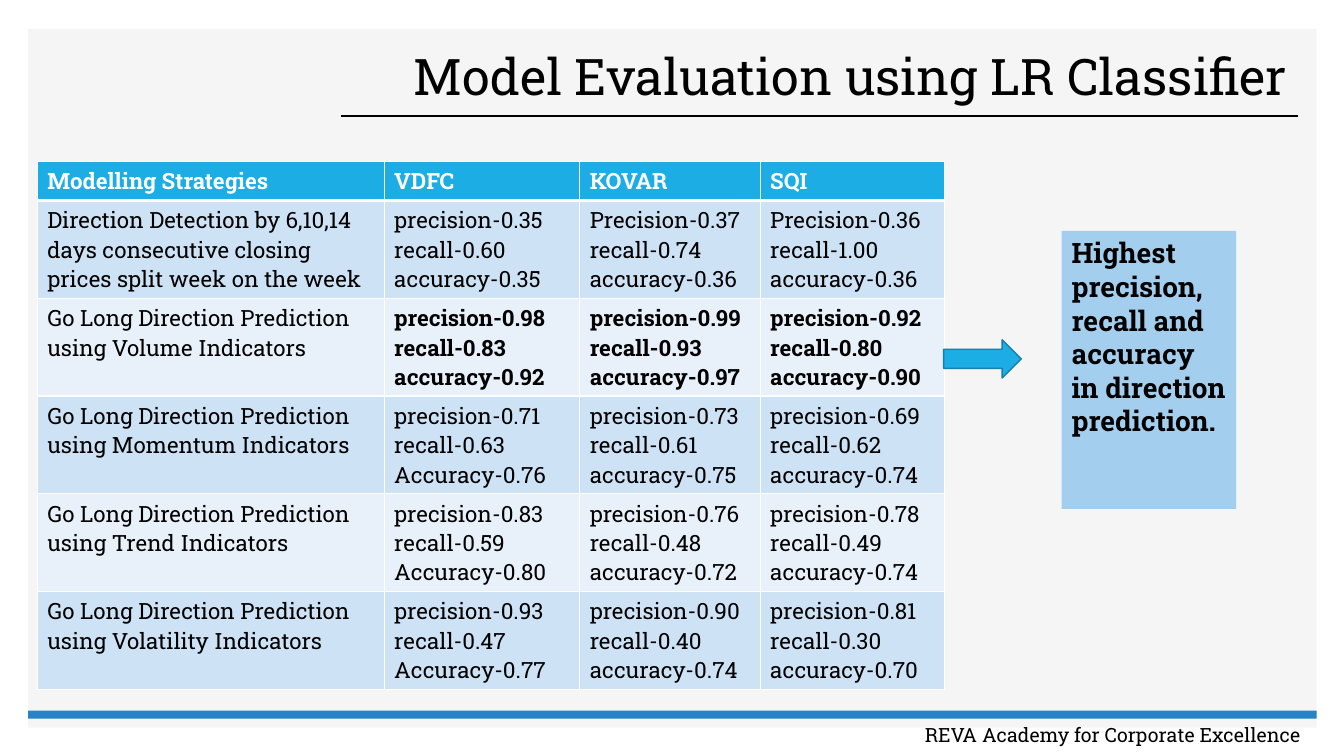
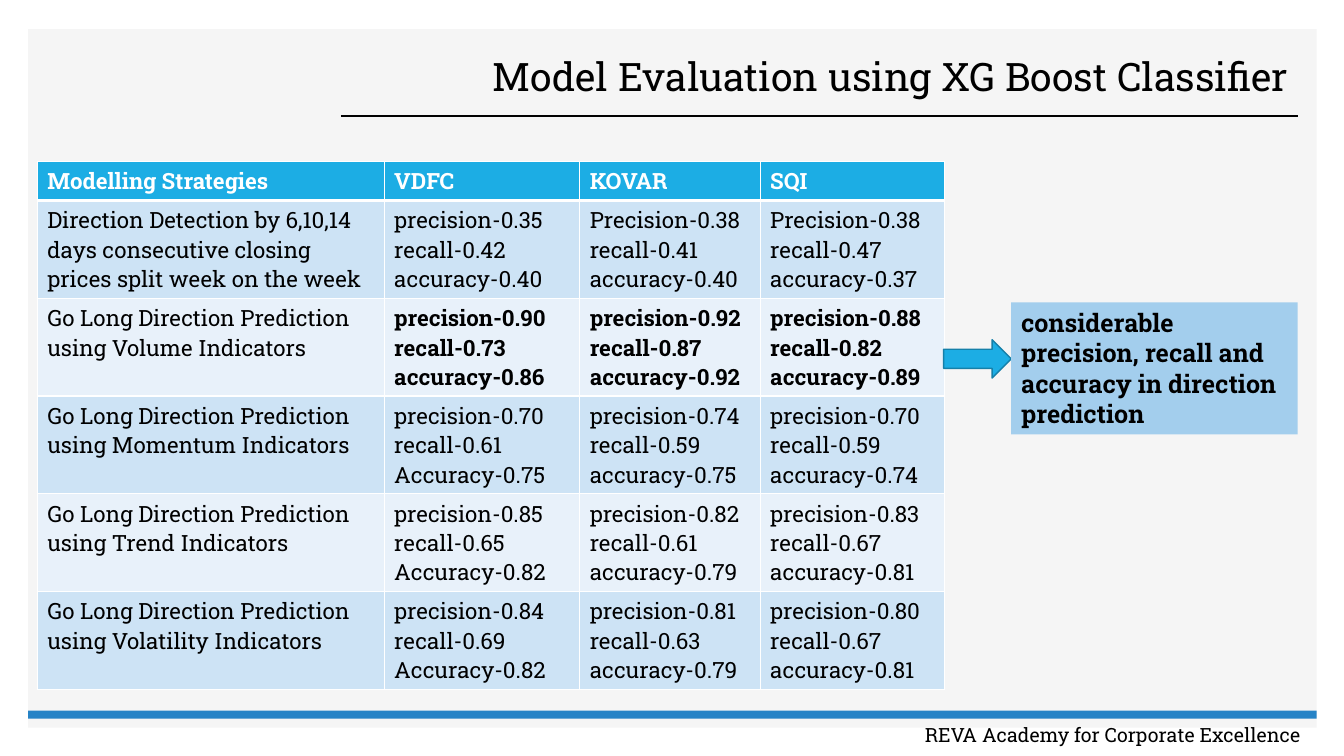
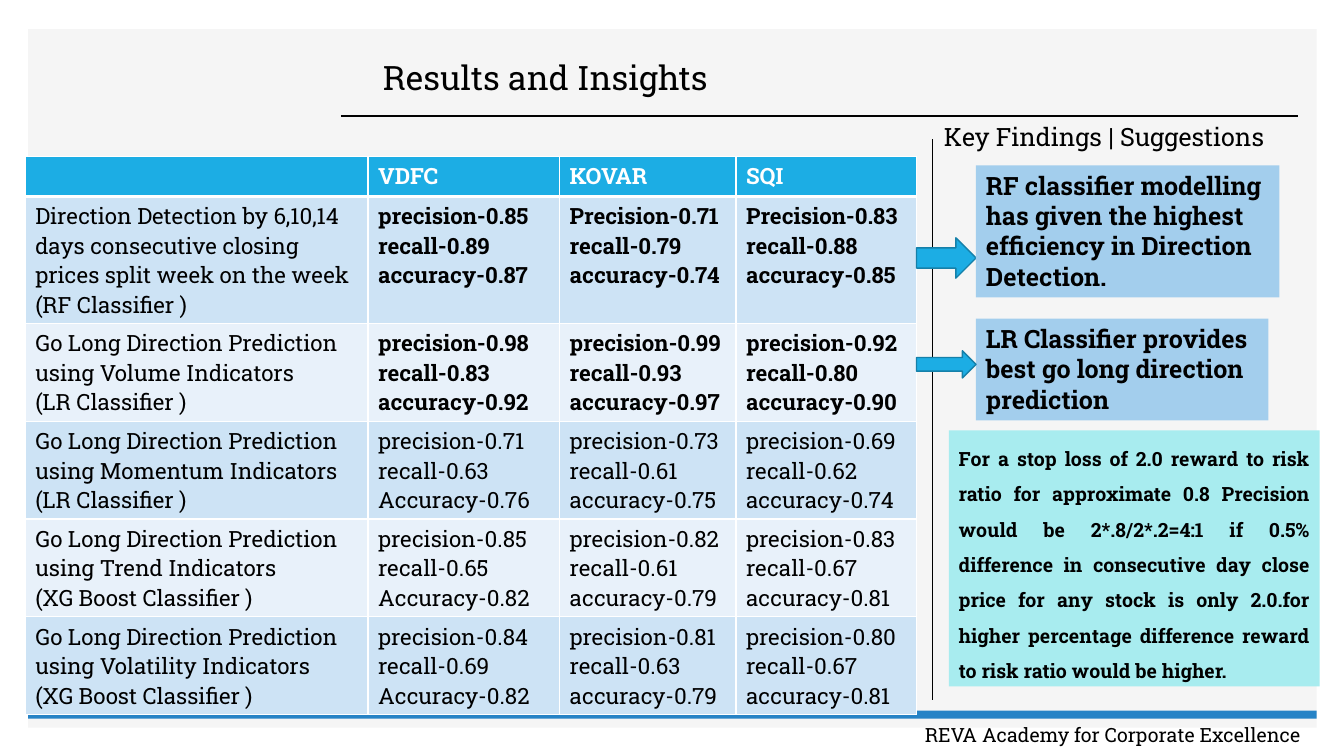
"""Build three slides that compare classifier results for three stocks."""
from lxml import etree
from pptx import Presentation
from pptx.dml.color import RGBColor
from pptx.enum.shapes import MSO_CONNECTOR, MSO_SHAPE
from pptx.enum.text import MSO_ANCHOR, PP_ALIGN
from pptx.oxml.ns import qn
from pptx.util import Pt

RECTANGLE, ARROW = MSO_SHAPE.RECTANGLE, MSO_SHAPE.RIGHT_ARROW
STRAIGHT = MSO_CONNECTOR.STRAIGHT
TOP, MIDDLE = MSO_ANCHOR.TOP, MSO_ANCHOR.MIDDLE
LEFT, RIGHT, JUSTIFY = PP_ALIGN.LEFT, PP_ALIGN.RIGHT, PP_ALIGN.JUSTIFY

PIXEL = 9144
SLIDE_SIZE = (1333, 750)
FONT = "Roboto Slab"
WHITE, BLACK = "FFFFFF", "000000"
PANEL, BAND = "F5F5F5", "2683C6"
ACCENT, ACCENT_EDGE = "1CADE4", "1580A9"
ROW_FILLS = ("CDE3F5", "E8F1FA")
CALLOUT, ADVICE = "A3CEED", "A8ECEF"

STOCKS = ("VDFC", "KOVAR", "SQI")
STRATEGIES = (
    "Direction Detection by 6,10,14 days consecutive closing prices split week on the week",
    "Go Long Direction Prediction using Volume Indicators",
    "Go Long Direction Prediction using Momentum Indicators",
    "Go Long Direction Prediction using Trend Indicators",
    "Go Long Direction Prediction using Volatility Indicators",
)
BEST_MODELS = ("RF", "LR", "LR", "XG Boost", "XG Boost")
LR_SCORES = (
    ((0.35, 0.60, 0.35), (0.37, 0.74, 0.36), (0.36, 1.00, 0.36)),
    ((0.98, 0.83, 0.92), (0.99, 0.93, 0.97), (0.92, 0.80, 0.90)),
    ((0.71, 0.63, 0.76), (0.73, 0.61, 0.75), (0.69, 0.62, 0.74)),
    ((0.83, 0.59, 0.80), (0.76, 0.48, 0.72), (0.78, 0.49, 0.74)),
    ((0.93, 0.47, 0.77), (0.90, 0.40, 0.74), (0.81, 0.30, 0.70)),
)
XG_SCORES = (
    ((0.35, 0.42, 0.40), (0.38, 0.41, 0.40), (0.38, 0.47, 0.37)),
    ((0.90, 0.73, 0.86), (0.92, 0.87, 0.92), (0.88, 0.82, 0.89)),
    ((0.70, 0.61, 0.75), (0.74, 0.59, 0.75), (0.70, 0.59, 0.74)),
    ((0.85, 0.65, 0.82), (0.82, 0.61, 0.79), (0.83, 0.67, 0.81)),
    ((0.84, 0.69, 0.82), (0.81, 0.63, 0.79), (0.80, 0.67, 0.81)),
)
RF_DIRECTION = ((0.85, 0.89, 0.87), (0.71, 0.79, 0.74), (0.83, 0.88, 0.85))
BEST_SCORES = (RF_DIRECTION,) + LR_SCORES[1:3] + XG_SCORES[3:]
MODEL_TABLE = {"left": 37, "top": 160, "widths": (344, 194, 179, 183),
               "heights": (39,) + (97,) * 5}
RESULT_TABLE = {"left": 25, "top": 155, "widths": (340, 190, 175, 179),
                "heights": (38, 126) + (97,) * 4}


def px(*lengths):
    """Turn pixel lengths into a list of EMU."""
    return [length * PIXEL for length in lengths]


def color(code):
    """Turn a hex string into a colour."""
    return RGBColor.from_string(code)


def apply_format(target, values):
    """Set every attribute named in a dict of format values."""
    for name, value in values.items():
        setattr(target, name, value)


def write_text(frame, lines, size, ink=BLACK, bold=False, **paragraph_format):
    """Write each line as one formatted paragraph."""
    for index, line in enumerate(lines):
        para = frame.add_paragraph() if index else frame.paragraphs[0]
        apply_format(para, paragraph_format)
        span = para.add_run()
        span.text = line
        apply_format(span.font, {"name": FONT, "size": Pt(size), "bold": bold})
        span.font.color.rgb = color(ink)


def add_text(page, place, line, size, anchor=TOP, **paragraph_format):
    """Add a wrapping text box."""
    frame = page.shapes.add_textbox(*px(*place)).text_frame
    apply_format(frame, {"word_wrap": True, "vertical_anchor": anchor})
    write_text(frame, [line], size, **paragraph_format)


def add_block(page, place, fill, kind=RECTANGLE, edge=None):
    """Add a flat filled shape, outlined only when an edge colour is given."""
    block = page.shapes.add_shape(kind, *px(*place))
    block.shadow.inherit = False
    block.fill.solid()
    block.fill.fore_color.rgb = color(fill)
    if edge:
        block.line.color.rgb = color(edge)
        block.line.width = Pt(1)
    else:
        block.line.fill.background()
    return block


def add_callout(page, place, line, size, fill=CALLOUT, **paragraph_format):
    """Add a filled rectangle with bold text."""
    frame = add_block(page, place, fill).text_frame
    apply_format(frame, {"word_wrap": True, "vertical_anchor": TOP})
    write_text(frame, [line], size, bold=True, **{"alignment": LEFT, **paragraph_format})


def add_arrow(page, place):
    """Add a block arrow that points right."""
    add_block(page, place, ACCENT, ARROW, ACCENT_EDGE)


def add_line(page, ends, width):
    """Add a thin black line without a shadow."""
    line = page.shapes.add_connector(STRAIGHT, *px(*ends))
    line.line.color.rgb = color(BLACK)
    line.line.width = Pt(width)
    etree.SubElement(line._element.spPr, qn("a:effectLst"))


def add_borders(cell, bottom):
    """Draw white cell borders with the given bottom width."""
    properties = cell._tc.get_or_add_tcPr()
    for side, width in {"lnL": 1, "lnR": 1, "lnT": 1, "lnB": bottom}.items():
        border = etree.SubElement(properties, qn("a:" + side), w=str(Pt(width)))
        fill = etree.SubElement(border, qn("a:solidFill"))
        etree.SubElement(fill, qn("a:srgbClr"), val=WHITE)


def fill_cell(cell, lines, fill, bottom=1, **text_format):
    """Give one table cell its borders, fill and text."""
    add_borders(cell, bottom)
    cell.fill.solid()
    cell.fill.fore_color.rgb = color(fill)
    write_text(cell.text_frame, lines, 16, **text_format)


def score_lines(row, column, scores):
    """Label the three scores of one strategy and stock."""
    labels = ("Precision" if row == 0 and column > 0 else "precision", "recall",
              "Accuracy" if row > 1 and column == 0 else "accuracy")
    return [f"{label}-{score:.2f}" for label, score in zip(labels, scores)]


def add_scores(page, layout, heading, strategies, scores, bold_rows):
    """Add the table of strategies against stocks."""
    widths, heights = layout["widths"], layout["heights"]
    place = px(layout["left"], layout["top"], sum(widths), sum(heights))
    table = page.shapes.add_table(len(heights), len(widths), *place).table
    for column, width in zip(table.columns, px(*widths)):
        column.width = width
    for row, height in zip(table.rows, px(*heights)):
        row.height = height
    for column, label in enumerate((heading,) + STOCKS):
        fill_cell(table.cell(0, column), [label], ACCENT, bottom=3, ink=WHITE, bold=True)
    for row, (strategy, row_scores) in enumerate(zip(strategies, scores)):
        fill = ROW_FILLS[row % 2]
        fill_cell(table.cell(row + 1, 0), strategy, fill)
        for column, values in enumerate(row_scores):
            fill_cell(table.cell(row + 1, column + 1), score_lines(row, column, values),
                      fill, bold=row in bold_rows)


def add_page(deck, title, size, alignment=RIGHT):
    """Add a slide with the shared panel, band, footer and title."""
    page = deck.slides.add_slide(deck.slide_layouts[6])
    add_block(page, (28, 29, 1278, 693), PANEL)
    add_line(page, (338, 115, 1287, 115), 1)
    add_block(page, (28, 705, 1278, 8), BAND)
    add_text(page, (782, 712, 523, 34), "REVA Academy for Corporate Excellence ", 14,
             alignment=RIGHT)
    add_text(page, (370, 42, 917, 73), title, size, MIDDLE,
             alignment=alignment, line_spacing=0.9)
    return page


def add_model_page(deck, title, size, scores):
    """Add a slide with the scores of one model."""
    page = add_page(deck, title, size)
    strategies = [[strategy] for strategy in STRATEGIES]
    add_scores(page, MODEL_TABLE, "Modelling Strategies", strategies, scores, {1})
    return page


def add_results_page(deck):
    """Add the slide with the best models and the findings."""
    page = add_page(deck, "Results and Insights", 24, LEFT)
    strategies = [[strategy, f"({model} Classifier )"]
                  for strategy, model in zip(STRATEGIES, BEST_MODELS)]
    add_scores(page, RESULT_TABLE, "", strategies, BEST_SCORES, {0, 1})
    add_text(page, (909, 115, 361, 40), "Key Findings | Suggestions ", 18, alignment=RIGHT)
    add_callout(page, (941, 427, 368, 254),
                "For a stop loss of 2.0 reward to risk ratio for approximate 0.8 Precision "
                "would be 2*.8/2*.2=4:1 if 0.5% difference in consecutive day close price "
                "for any stock is only 2.0.for higher percentage difference reward to risk "
                "ratio would be higher.",
                14, ADVICE, alignment=JUSTIFY, line_spacing=1.5)
    add_line(page, (925, 138, 925, 694), 0.5)
    add_arrow(page, (909, 236, 59, 40))
    add_callout(page, (968, 164, 301, 131),
                "RF classifier modelling has given the highest efficiency in "
                "Direction Detection.", 18)
    add_callout(page, (968, 316, 290, 101),
                "LR Classifier provides best go long direction prediction", 18)
    add_arrow(page, (909, 348, 59, 27))


def main():
    """Build and save the deck."""
    deck = Presentation()
    deck.slide_width, deck.slide_height = px(*SLIDE_SIZE)
    page = add_model_page(deck, "Model Evaluation using LR Classifier", 36, LR_SCORES)
    add_arrow(page, (936, 337, 77, 38))
    add_callout(page, (1053, 229, 173, 276),
                "Highest precision, recall and accuracy in direction prediction.", 20)
    page = add_model_page(deck, "Model Evaluation using XG Boost Classifier", 28, XG_SCORES)
    add_arrow(page, (936, 337, 67, 38))
    add_callout(page, (1003, 300, 284, 131),
                "considerable precision, recall and accuracy in direction prediction", 18)
    add_results_page(deck)
    deck.save("out.pptx")


if __name__ == "__main__":
    main()
